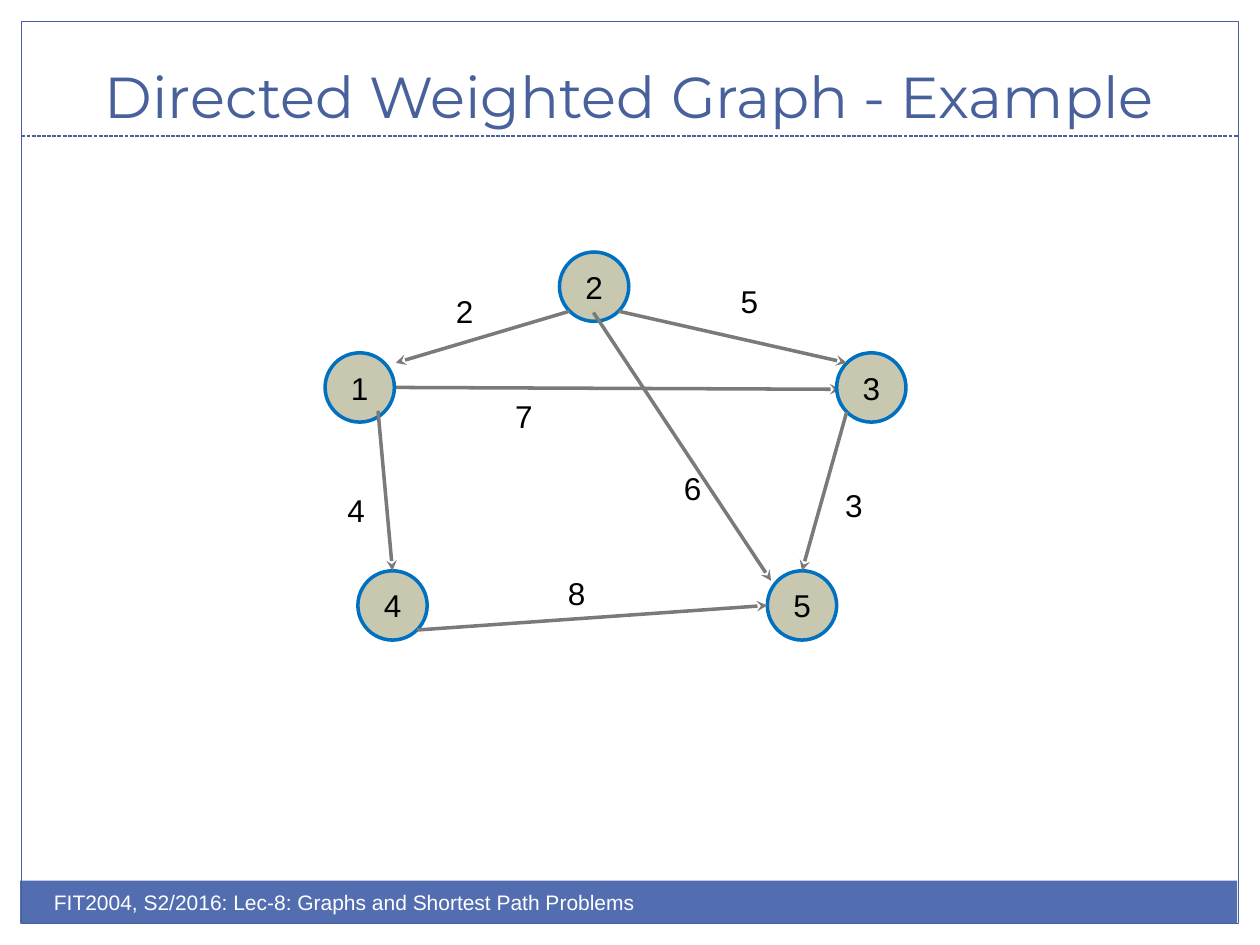
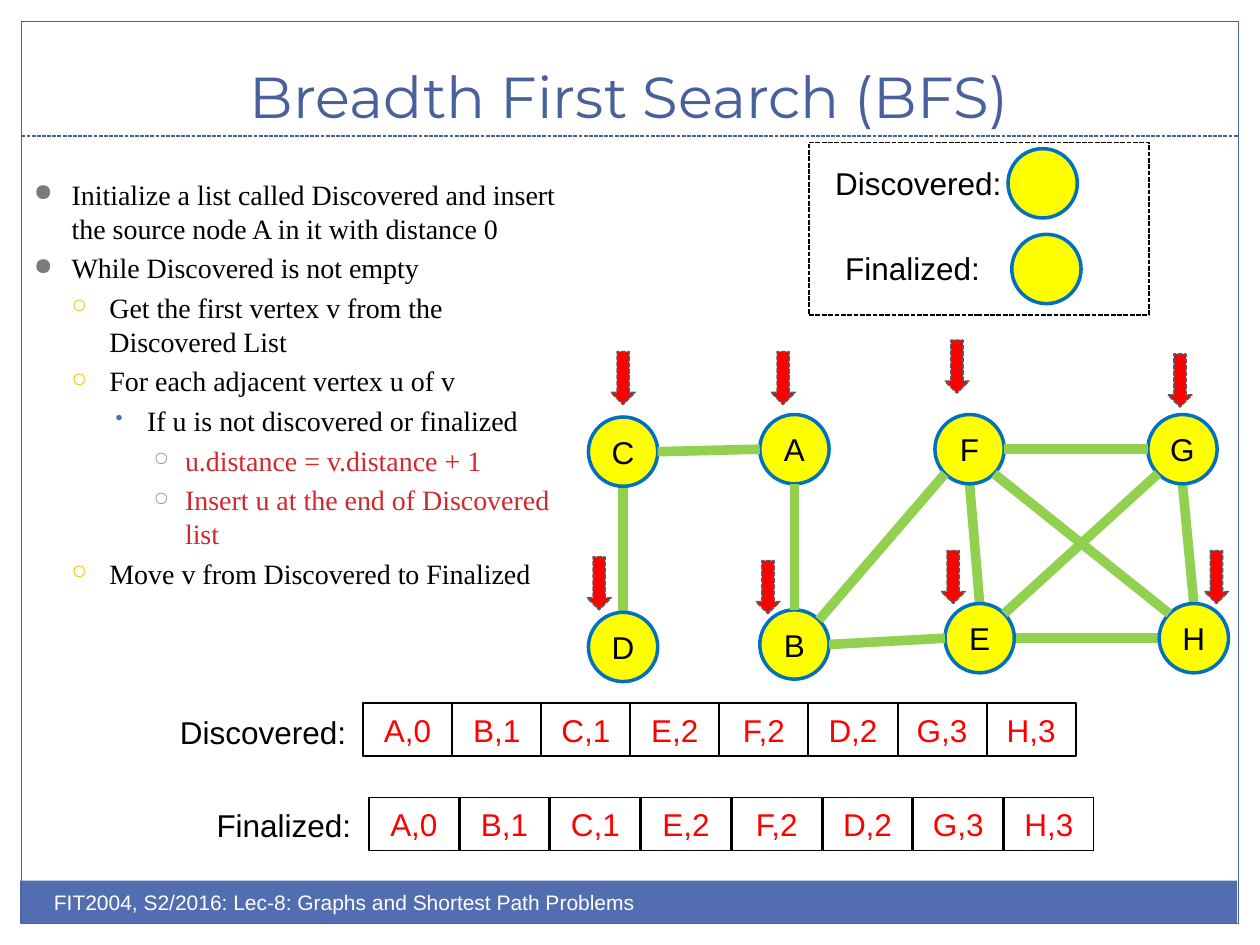
from lxml import etree
from pptx import Presentation
from pptx.dml.color import RGBColor
from pptx.enum.dml import MSO_LINE
from pptx.enum.shapes import MSO_CONNECTOR, MSO_SHAPE
from pptx.enum.text import MSO_ANCHOR, PP_ALIGN
from pptx.oxml.ns import qn
from pptx.util import Inches, Pt

RECT, OVAL, DOWN = MSO_SHAPE.RECTANGLE, MSO_SHAPE.OVAL, MSO_SHAPE.DOWN_ARROW
STRAIGHT = MSO_CONNECTOR.STRAIGHT
DASH = MSO_LINE.SQUARE_DOT
MIDDLE, BOTTOM = MSO_ANCHOR.MIDDLE, MSO_ANCHOR.BOTTOM
CENTER, LEFT = PP_ALIGN.CENTER, PP_ALIGN.LEFT

NAVY, BAND, BLUE, GRAY, GREEN = "48609B", "526DB0", "0070C0", "7A7A7A", "92D050"
BLACK, WHITE, RED, YELLOW, STONE = "000000", "FFFFFF", "FF0000", "FFFF00", "C8C8B1"
CRIMSON, GOLD, SILVER, DARK = "D1282E", "F5C201", "989AAC", "5A5A5A"

HEAD = {"name": "Montserrat", "size": Pt(33), "color": NAVY}
FOOT = {"name": "Arial", "size": Pt(12), "color": WHITE}
LABEL = {"name": "Arial", "size": Pt(18), "color": BLACK}
ENTRY = {**LABEL, "color": RED}
STEP = {"name": "Times New Roman", "size": Pt(16), "color": BLACK}

FOOTER = "FIT2004, S2/2016: Lec-8: Graphs and Shortest Path Problems"
SIZE = 0.55
SIDES = {"n": (0, -1), "s": (0, 1), "e": (1, 0), "w": (-1, 0),
         "ne": (0.71, -0.71), "nw": (-0.71, -0.71),
         "se": (0.71, 0.71), "sw": (-0.71, 0.71)}

WEIGHTED = {
    "title": "Directed Weighted Graph - Example",
    "nodes": {"2": (4.44, 2), "1": (2.58, 2.8), "3": (6.64, 2.8),
              "4": (2.84, 4.53), "5": (6.09, 4.53)},
    "fill": STONE,
    "edge": {"color": GRAY, "width": 2, "tip": True},
    "under": [("1e", (6.67, 3.09))],
    "over": [("2sw", (3.14, 2.88)), ("2se", "3nw"), ((3, 3.26), "4n"),
             ("4se", "5w"), ("3sw", "5n"), ((4.71, 2.48), (6.12, 4.61))],
    "labels": [("4", 2.66, 3.85, 0.34), ("8", 4.41, 4.51, 0.34),
               ("7", 3.99, 3.1, 0.34), ("6", 5.33, 3.67, 0.34),
               ("3", 6.61, 3.81, 0.34), ("2", 3.52, 2.27, 0.34),
               ("5", 5.78, 2.19, 0.34)],
}
SEARCH = {
    "title": "Breadth First Search (BFS)",
    "nodes": {"B": (6.03, 4.84), "A": (6.03, 3.29), "E": (7.5, 4.79),
              "F": (7.42, 3.29), "H": (9.2, 4.79), "G": (9.11, 3.29),
              "D": (4.67, 4.86), "C": (4.67, 3.31)},
    "fill": YELLOW,
    "edge": {"color": GREEN, "width": 5.5, "tip": False},
    "under": [("Fs", "En"), ("Cs", "Dn"), ("Hn", "Gs"), ("Hw", "Ee")],
    "over": [("As", "Bn"), ("Ew", "Be"), ("Bne", "Fsw"), ("Ene", "Gsw"),
             ("Hnw", "Fse"), ("Fe", "Gw"), ("Ce", "Aw")],
    "labels": [("Discovered:", 1.33, 5.61, 1.53), ("Finalized:", 1.62, 6.35, 1.28),
               ("Discovered:", 6.53, 1.25, 1.53), ("Finalized:", 6.61, 1.93, 1.28)],
}
STEPS = [
    (0, "Initialize a list called Discovered and insert the source node A in it "
        "with distance 0", BLACK),
    (0, "While Discovered is not empty", BLACK),
    (1, "Get the first vertex v from the Discovered List", BLACK),
    (1, "For each adjacent vertex u of v", BLACK),
    (2, "If u is not discovered or finalized", BLACK),
    (3, "u.distance = v.distance + 1", CRIMSON),
    (3, "Insert u at the end of Discovered list", CRIMSON),
    (1, "Move v from Discovered to Finalized", BLACK),
]
BULLETS = [("●", GRAY, 85, 0.3), ("○", GOLD, 70, 0.3),
           ("•", BAND, 75, 0.25), ("○", SILVER, 70, 0.25)]
QUEUE = ["A,0", "B,1", "C,1", "E,2", "F,2", "D,2", "G,3", "H,3"]
ROWS = [(2.88, 5.58, 0.707), (2.93, 6.33, 0.72)]
ARROWS = [(6.12, 2.79), (6, 4.45), (4.85, 2.79), (7.47, 4.37),
          (7.5, 2.7), (4.66, 4.42), (9.27, 2.81), (9.56, 4.37)]
KEYS = [(8, 1.18), (8.03, 1.86)]


def rgb(code):
    return RGBColor.from_string(code)


def style(font, look):
    for name, value in look.items():
        if name == "color":
            font.color.rgb = rgb(value)
        else:
            setattr(font, name, value)


def write(frame, words, look, align=LEFT, **form):
    for name, value in form.items():
        setattr(frame, name, value)
    par = frame.paragraphs[0]
    par.alignment = align
    run = par.add_run()
    run.text = words
    style(run.font, look)


def stroke(line, color, width, dash=None):
    line.color.rgb = rgb(color)
    line.width = Pt(width)
    if dash:
        line.dash_style = dash


def draw(slide, kind, box, fill=None, line=None, words="", look=LABEL):
    shape = slide.shapes.add_shape(kind, *map(Inches, box))
    shape.shadow.inherit = False
    if fill:
        shape.fill.solid()
        shape.fill.fore_color.rgb = rgb(fill)
    else:
        shape.fill.background()
    if line:
        stroke(shape.line, *line)
    else:
        shape.line.fill.background()
    if words:
        write(shape.text_frame, words, look, CENTER, word_wrap=False,
              vertical_anchor=MIDDLE, margin_left=0, margin_right=0)


def link(slide, start, end, color, width, dash=None, tip=False):
    line = slide.shapes.add_connector(STRAIGHT, *map(Inches, (*start, *end)))
    stroke(line.line, color, width, dash)
    if tip:
        etree.SubElement(line.line._get_or_add_ln(), qn("a:tailEnd"), type="stealth")
    etree.SubElement(line._element.spPr, qn("a:effectLst"))


def place(shape, *box):
    for name, value in zip(("left", "top", "width", "height"), box):
        setattr(shape, name, Inches(value))


def note(slide, words, x, y, w, look=LABEL):
    box = slide.shapes.add_textbox(*map(Inches, (x, y, w, 0.4)))
    write(box.text_frame, words, look, word_wrap=False)


def base(deck, title):
    slide = deck.slides.add_slide(deck.slide_layouts[5])
    draw(slide, RECT, (0.16, 6.99, 9.66, 0.34), BAND)
    draw(slide, RECT, (0.17, 0.17, 9.66, 7.16), line=(NAVY, 0.75))
    link(slide, (0.17, 1.08), (9.83, 1.08), NAVY, 0.75, DASH)
    head = slide.shapes.title
    place(head, 0.33, 0.25, 9.33, 0.83)
    write(head.text_frame, title, HEAD, CENTER, vertical_anchor=BOTTOM, word_wrap=True)
    note(slide, FOOTER, 0.33, 7.01, 5, FOOT)
    return slide


def graph(slide, data):
    nodes = data["nodes"]

    def point(end):
        if isinstance(end, tuple):
            return end
        half = SIZE / 2
        return [at + half + half * way
                for at, way in zip(nodes[end[0]], SIDES[end[1:]])]

    def join(pairs):
        for start, end in pairs:
            link(slide, point(start), point(end), **data["edge"])

    join(data["under"])
    for name, spot in nodes.items():
        draw(slide, OVAL, (*spot, SIZE, SIZE), data["fill"], (BLUE, 2), name)
    join(data["over"])
    for label in data["labels"]:
        note(slide, *label)


def outline(slide):
    frame = slide.shapes.add_textbox(*map(Inches, (0.17, 1.36, 4.42, 3.89))).text_frame
    frame.word_wrap = True
    for i, (level, words, color) in enumerate(STEPS):
        par = frame.add_paragraph() if i else frame.paragraphs[0]
        sign, tint, size, hang = BULLETS[level]
        par.level = level
        prop = par._p.get_or_add_pPr()
        prop.set("marL", str(Inches(0.3 * (level + 1))))
        prop.set("indent", str(-Inches(hang)))
        shade = etree.SubElement(prop, qn("a:buClr"))
        etree.SubElement(shade, qn("a:srgbClr"), val=tint)
        etree.SubElement(prop, qn("a:buSzPct"), val=str(size * 1000))
        etree.SubElement(prop, qn("a:buChar"), char=sign)
        par.space_before = Pt(3.5 if i else 0)
        run = par.add_run()
        run.text = words
        style(run.font, {**STEP, "color": color})


def main():
    deck = Presentation()
    deck.slide_width, deck.slide_height = Inches(10), Inches(7.5)
    graph(base(deck, WEIGHTED["title"]), WEIGHTED)

    slide = base(deck, SEARCH["title"])
    graph(slide, SEARCH)
    outline(slide)
    for x, y, step in ROWS:
        for i, words in enumerate(QUEUE):
            draw(slide, RECT, (x + i * step, y, 0.71, 0.42), None, (BLACK, 1), words, ENTRY)
    for spot in ARROWS:
        draw(slide, DOWN, (*spot, 0.19, 0.42), RED, (DARK, 0.9, DASH))
    for spot in KEYS:
        draw(slide, OVAL, (*spot, SIZE, SIZE), YELLOW, (BLUE, 2))
    draw(slide, RECT, (6.42, 1.13, 2.7, 1.37), line=(BLACK, 0.9, DASH))
    deck.save("out.pptx")


if __name__ == "__main__":
    main()
